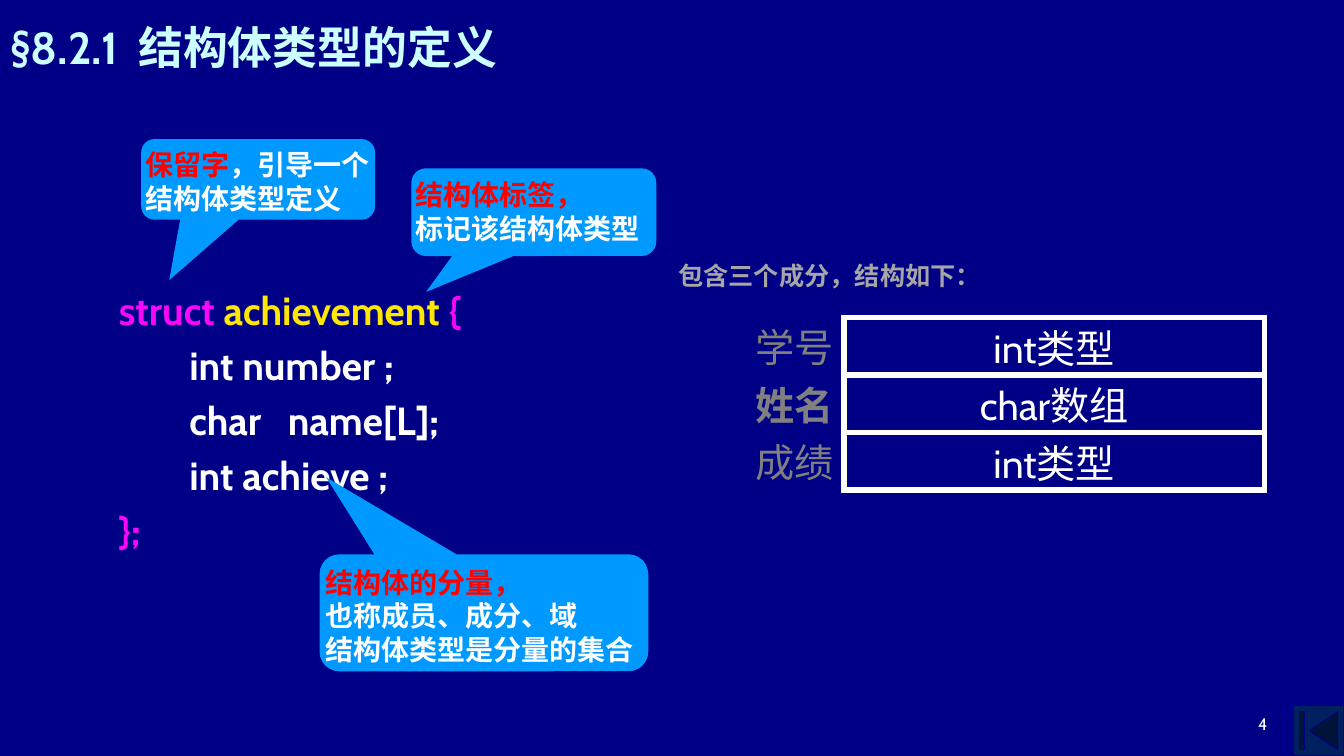
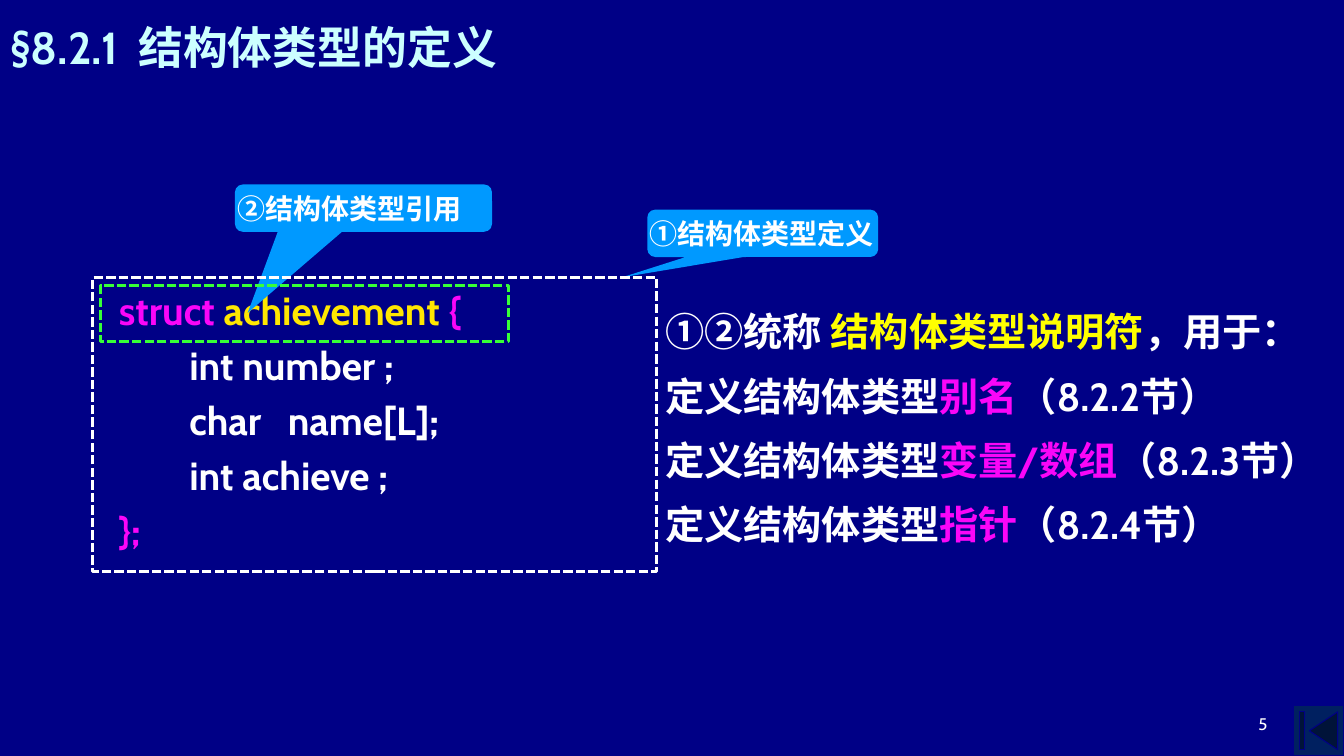
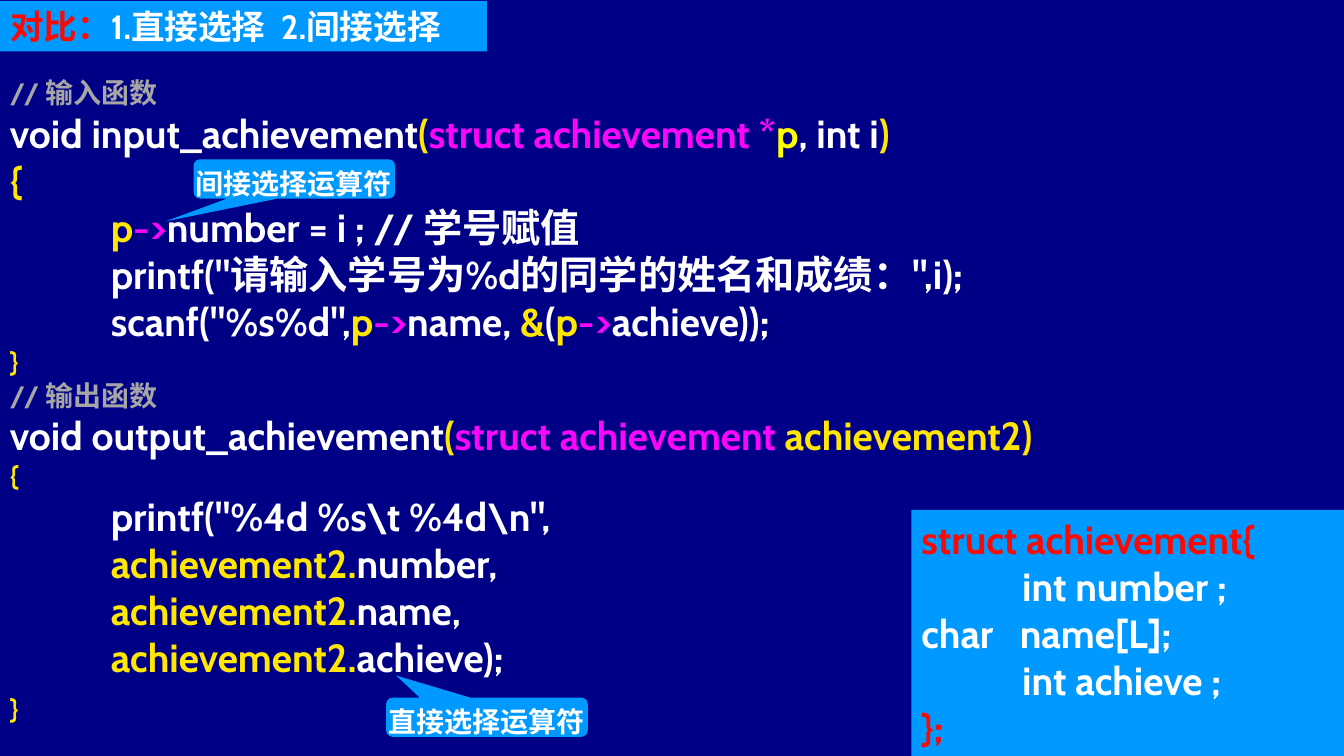
from lxml import etree
from pptx import Presentation
from pptx.dml.color import RGBColor
from pptx.enum.dml import MSO_LINE
from pptx.enum.shapes import MSO_SHAPE
from pptx.enum.text import MSO_ANCHOR, MSO_AUTO_SIZE, PP_ALIGN
from pptx.oxml.ns import qn
from pptx.util import Inches, Pt

LEFT, CENTER, RIGHT = PP_ALIGN.LEFT, PP_ALIGN.CENTER, PP_ALIGN.RIGHT
TOP, MIDDLE, BOTTOM = MSO_ANCHOR.TOP, MSO_ANCHOR.MIDDLE, MSO_ANCHOR.BOTTOM
RECTANGLE = MSO_SHAPE.RECTANGLE
CALLOUT = MSO_SHAPE.ROUNDED_RECTANGULAR_CALLOUT
BUTTON = MSO_SHAPE.ACTION_BUTTON_BEGINNING
DASH = MSO_LINE.SQUARE_DOT

NAVY, DARK_BLUE, SKY, PALE_CYAN = "000086", "002060", "0099FF", "CCFFFF"
WHITE, LIGHT_GRAY, GRAY = "FFFFFF", "A6A6A6", "808080"
MAGENTA, GOLD, YELLOW, GREEN = "FA06F8", "FFE701", "FFFF00", "37FF37"
RED, CRIMSON = "FF0000", "FD0903"
FONT = "Cabin"
NO_GRID_STYLE = "{2D5ABB26-0587-4C30-8999-92F81FD0307C}"

color = RGBColor.from_string


def write(frame, paragraphs, size=28, font=FONT, bold=True, align=LEFT, anchor=TOP,
          side_inset=0.1, gap=0, line_spacing=None, hanging=0):
    """Fill a text frame; each paragraph is a list of (text, colour, overrides)."""
    frame.word_wrap = True
    frame.auto_size = MSO_AUTO_SIZE.NONE
    frame.vertical_anchor = anchor
    frame.margin_left = frame.margin_right = Inches(side_inset)
    frame.margin_top = frame.margin_bottom = Inches(0.05)
    for index, runs in enumerate(paragraphs):
        paragraph = frame.add_paragraph() if index else frame.paragraphs[0]
        paragraph.alignment = align
        paragraph.space_before = Pt(gap if index else 0)
        if line_spacing:
            paragraph.line_spacing = line_spacing
        properties = paragraph._p.get_or_add_pPr()
        properties.set("defTabSz", str(Inches(1)))
        if hanging:
            properties.set("marL", str(Inches(hanging)))
            properties.set("indent", str(-Inches(hanging)))
        for text, run_color, *overrides in runs:
            own = overrides[0] if overrides else {}
            run = paragraph.add_run()
            run.text = text
            run.font.size = Pt(own.get("size", size))
            run.font.name = own.get("font", font)
            run.font.bold = bold
            run.font.color.rgb = color(run_color)


def add_box(slide, kind, place, fill=None, line=None, width=0.75, dash=None, adjust=()):
    shape = slide.shapes.add_shape(kind, *map(Inches, place))
    shape.shadow.inherit = False
    if fill:
        shape.fill.solid()
        shape.fill.fore_color.rgb = color(fill)
    else:
        shape.fill.background()
    if line:
        shape.line.color.rgb = color(line)
        shape.line.width = Pt(width)
        shape.line.dash_style = dash
    else:
        shape.line.fill.background()
    for index, value in enumerate(adjust):
        shape.adjustments[index] = value
    return shape


presentation = Presentation()
presentation.slide_width, presentation.slide_height = Inches(13.33), Inches(7.5)
master_fill = presentation.slide_master.background.fill
master_fill.solid()
master_fill.fore_color.rgb = color(NAVY)

# Shared parts: title and navigation button
definition_title = [("§8.2.1  结构体类型的定义", PALE_CYAN)]
comparison_title = [("对比：", CRIMSON), ("1.直接选择  2.间接选择", WHITE)]
titles = [
    (definition_title, (0, 0, 6.04, 0.92), 32),
    (definition_title, (0, 0, 6.04, 0.92), 32),
    (comparison_title, (0, 0.01, 4.83, 0.5), 24),
]
slides = []
for runs, place, size in titles:
    slide = presentation.slides.add_slide(presentation.slide_layouts[5])
    title = slide.shapes.title
    title.left, title.top, title.width, title.height = map(Inches, place)
    write(title.text_frame, [runs], size=size, anchor=MIDDLE)
    add_box(slide, BUTTON, (12.83, 7, 0.5, 0.5), DARK_BLUE, NAVY)
    slides.append(slide)
members_slide, specifier_slide, comparison_slide = slides

# Structure definition and page number on the first two slides
definition_code = [
    [("struct ", MAGENTA), ("achievement ", GOLD), ("{", MAGENTA)],
    [("        int number ;", WHITE)],
    [("        char   name[L];", WHITE)],
    [("        int achieve ;", WHITE)],
    [("};", MAGENTA)],
]
for page, slide in enumerate((members_slide, specifier_slide), 4):
    code = slide.shapes.add_textbox(Inches(1.08), Inches(2.75), Inches(4.43), Inches(2.83))
    write(code.text_frame, definition_code, anchor=MIDDLE, gap=5.6)
    number = slide.shapes.add_textbox(Inches(9.56), Inches(6.83), Inches(3.11), Inches(0.5))
    write(number.text_frame, [[(str(page), WHITE)]], size=12, bold=False,
          align=RIGHT, anchor=BOTTOM)

# Slide 1: member table
heading = members_slide.shapes.add_textbox(Inches(6.63), Inches(2.53), Inches(5), Inches(0.4))
write(heading.text_frame, [[("包含三个成分，结构如下：", LIGHT_GRAY)]], size=18)

members = [("学号", "int类型", False), ("姓名", "char数组", True), ("成绩", "int类型", False)]
table = members_slide.shapes.add_table(
    len(members), 2, Inches(6.17), Inches(3.15), Inches(6.37), Inches(1.71)).table
table.first_row = table.horz_banding = False
table._tbl.tblPr.find(qn("a:tableStyleId")).text = NO_GRID_STYLE
table.columns[0].width, table.columns[1].width = Inches(2.2), Inches(4.17)
for row, (label, kind, label_bold) in enumerate(members):
    table.rows[row].height = Inches(0.57)
    cells = [
        (label, GRAY, label_bold, RIGHT, TOP, ["lnR"]),
        (kind, WHITE, False, CENTER, MIDDLE, ["lnL", "lnR", "lnT", "lnB"]),
    ]
    for column, (text, text_color, bold, align, anchor, sides) in enumerate(cells):
        cell = table.cell(row, column)
        write(cell.text_frame, [[(text, text_color)]], bold=bold, align=align)
        cell.vertical_anchor = anchor
        cell.margin_left = cell.margin_right = Inches(0.1)
        cell.margin_top = cell.margin_bottom = 0
        cell_properties = cell._tc.get_or_add_tcPr()
        for side in sides:
            border = etree.SubElement(cell_properties, qn(f"a:{side}"), w=str(Pt(4.5)))
            border_fill = etree.SubElement(border, qn("a:solidFill"))
            etree.SubElement(border_fill, qn("a:srgbClr"), val=WHITE)
        cell.fill.background()

# Slide 2: uses of the specifier
uses = [[("①②", WHITE, {"font": "Calibri"}), ("统称 ", WHITE),
         ("结构体类型说明符", YELLOW), ("，用于：", WHITE)]]
for target, section in [("别名", "8.2.2"), ("变量/数组", "8.2.3"), ("指针", "8.2.4")]:
    uses.append([("定义结构体类型", WHITE), (target, MAGENTA), (f"（{section}节）", WHITE)])
uses_box = specifier_slide.shapes.add_textbox(
    Inches(6.5), Inches(2.91), Inches(6.72), Inches(2.76))
write(uses_box.text_frame, uses, gap=5.6, line_spacing=1.2, hanging=0.38)

# Slide 3: input and output functions, with the structure beside them
title = comparison_slide.shapes.title
title.fill.solid()
title.fill.fore_color.rgb = color(SKY)

small = {"size": 20}
functions = [
    [("// 输入函数", LIGHT_GRAY, small)],
    [("void input_achievement", WHITE), ("(", GOLD), ("struct achievement *", MAGENTA),
     ("p", YELLOW), (", int i", WHITE), (")", GOLD)],
    [("{", GOLD)],
    [("\tp", GOLD), ("->", MAGENTA), ("number = i ; // 学号赋值", WHITE)],
    [("\tprintf(\"请输入学号为%d的同学的姓名和成绩：\",i);", WHITE)],
    [("\tscanf(\"%s%d\",", WHITE), ("p", GOLD), ("->", MAGENTA), ("name, ", WHITE),
     ("&", GOLD), ("(", WHITE), ("p", GOLD), ("->", MAGENTA), ("achieve));", WHITE)],
    [("}", GOLD, small)],
    [("// 输出函数", LIGHT_GRAY, small)],
    [("void output_achievement", WHITE), ("(", GOLD), ("struct achievement ", MAGENTA),
     ("achievement2)", GOLD)],
    [("{", GOLD, small)],
    [("\tprintf(\"%4d %s\\t %4d\\n\",", WHITE)],
]
for ending in ("number,", "name,", "achieve);"):
    functions.append([("\tachievement2.", GOLD), (ending, WHITE)])
functions.append([("}", GOLD, small)])
functions_box = comparison_slide.shapes.add_textbox(0, Inches(0.7), Inches(13.25), Inches(6.7))
write(functions_box.text_frame, functions)
functions_box.text_frame.paragraphs[-1].space_before = Pt(8)

structure = add_box(comparison_slide, RECTANGLE, (9.04, 5.06, 4.29, 2.44), SKY)
write(structure.text_frame, [
    [("struct achievement{", CRIMSON)],
    [("\tint number ;", WHITE)],
    [("char   name[L];", WHITE)],
    [("\tint achieve ;", WHITE)],
    [("};", CRIMSON)],
])

# Callouts: slide, place, pointer tip, text
arial, calibri = {"font": "Arial"}, {"font": "Calibri"}
callouts = [
    (members_slide, (1.4, 1.38, 2.32, 0.8), (-0.38, 1.25),
     [[("保留字", RED), ("，引导一个", WHITE)], [("结构体类型定义", WHITE)]]),
    (members_slide, (4.08, 1.67, 2.43, 0.87), (-0.44, 0.91),
     [[("结构体标签，", RED)], [("标记该结构体类型", WHITE)]]),
    (members_slide, (3.17, 5.5, 3.26, 1.16), (-0.48, -1.16),
     [[("结构体的分量，", RED)], [("也称成员、成分、域", WHITE)],
      [("结构体类型是分量的集合", WHITE, arial)]]),
    (specifier_slide, (2.33, 1.83, 2.55, 0.47), (-0.45, 2.21),
     [[("②", WHITE, calibri), ("结构体类型引用", WHITE)]]),
    (specifier_slide, (6.42, 2.08, 2.29, 0.47), (-0.61, 0.93),
     [[("①", WHITE, calibri), ("结构体类型定义", WHITE)]]),
    (comparison_slide, (1.92, 1.58, 2, 0.39), (-0.64, 1.08),
     [[("间接选择运算符", WHITE, arial)]]),
    (comparison_slide, (3.83, 6.92, 2, 0.39), (-0.45, -1.06),
     [[("直接选择运算符", WHITE, arial)]]),
]
for slide, place, tip, paragraphs in callouts:
    callout = add_box(slide, CALLOUT, place, SKY, adjust=tip)
    write(callout.text_frame, paragraphs, size=20, side_inset=0)

# Slide 2: dashed frames, in front of the callouts
frames = [((1, 2.83, 4.04, 0.56), GREEN), ((0.92, 2.75, 5.59, 2.92), WHITE)]
for place, line in frames:
    add_box(specifier_slide, RECTANGLE, place, line=line, width=2.25, dash=DASH)

presentation.save("out.pptx")
